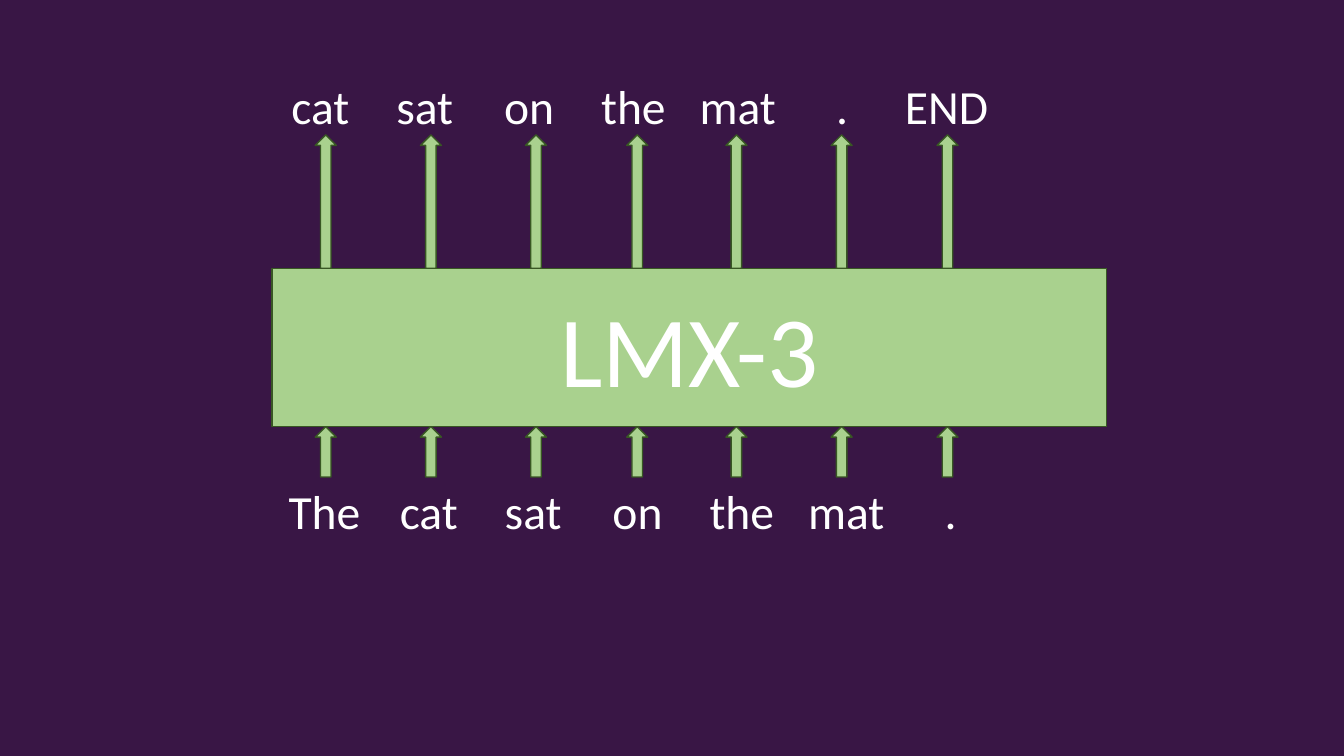
from dataclasses import dataclass

from pptx import Presentation
from pptx.dml.color import RGBColor
from pptx.enum.shapes import MSO_SHAPE
from pptx.enum.text import MSO_ANCHOR, PP_ALIGN
from pptx.oxml.ns import qn
from pptx.slide import Slide
from pptx.text.text import TextFrame
from pptx.util import Cm, Pt

RECTANGLE = MSO_SHAPE.RECTANGLE
UP_ARROW = MSO_SHAPE.UP_ARROW
CENTER = PP_ALIGN.CENTER
MIDDLE = MSO_ANCHOR.MIDDLE

PURPLE = RGBColor(0x39, 0x16, 0x45)
GREEN = RGBColor(0xA9, 0xD1, 0x8E)
DARK_GREEN = RGBColor(0x38, 0x57, 0x23)
WHITE = RGBColor(0xFF, 0xFF, 0xFF)

FONT = "Calibri"
PLAIN_TABLE_STYLE = "{2D5ABB26-0587-4C30-8999-92F81FD0307C}"
TOKEN_WIDTH = 2.63
TOKEN_HEIGHT = 1.7
ARROW_WIDTH = 0.53
ARROW_CENTERS = (8.21, 10.86, 13.51, 16.06, 18.56, 21.21, 23.88)
MODEL_LEFT, MODEL_TOP, MODEL_WIDTH, MODEL_HEIGHT = 6.86, 6.76, 21.03, 3.99


@dataclass(frozen=True)
class TokenRow:
    tokens: tuple[str, ...]
    left: float
    top: float
    column_widths: tuple[float, ...]


@dataclass(frozen=True)
class ArrowRow:
    top: float
    height: float


TOKEN_ROWS = (
    TokenRow(("The", "cat", "sat", "on", "the", "mat", ".", ""),
             MODEL_LEFT, 12.07, (TOKEN_WIDTH,) * 8),
    TokenRow(("", "cat", "sat", "on", "the", "mat", ".", "END"),
             6.15, 1.88, (0.58,) + (TOKEN_WIDTH,) * 7),
)
ARROW_ROWS = (
    ArrowRow(top=10.75, height=1.27),
    ArrowRow(top=3.4, height=3.36),
)


def write_text(frame: TextFrame, text: str, *, size: float,
               color: RGBColor = WHITE, alignment: PP_ALIGN = CENTER) -> None:
    paragraph = frame.paragraphs[0]
    paragraph.alignment = alignment
    run = paragraph.add_run()
    run.text = text
    run.font.name = FONT
    run.font.size = Pt(size)
    run.font.color.rgb = color


def add_green_shape(slide: Slide, kind: MSO_SHAPE, left: float, top: float,
                    width: float, height: float) -> TextFrame:
    """Draw an outlined green shape and return its text frame."""
    shape = slide.shapes.add_shape(kind, Cm(left), Cm(top), Cm(width), Cm(height))
    shape.shadow.inherit = False
    shape.fill.solid()
    shape.fill.fore_color.rgb = GREEN
    shape.line.color.rgb = DARK_GREEN
    shape.line.width = Pt(1)
    return shape.text_frame


def add_token_table(slide: Slide, row: TokenRow) -> None:
    table = slide.shapes.add_table(
        1, len(row.tokens), Cm(row.left), Cm(row.top),
        Cm(sum(row.column_widths)), Cm(TOKEN_HEIGHT)).table
    table.first_row = False
    table.horz_banding = False
    table._tbl.tblPr.find(qn("a:tableStyleId")).text = PLAIN_TABLE_STYLE
    for index, (token, width) in enumerate(zip(row.tokens, row.column_widths)):
        table.columns[index].width = Cm(width)
        cell = table.cell(0, index)
        cell.fill.background()
        if token:
            write_text(cell.text_frame, token, size=34)


def main() -> None:
    presentation = Presentation()
    presentation.slide_width = Cm(33.87)
    presentation.slide_height = Cm(19.05)
    slide = presentation.slides.add_slide(presentation.slide_layouts[6])
    slide.background.fill.solid()
    slide.background.fill.fore_color.rgb = PURPLE

    model_frame = add_green_shape(slide, RECTANGLE, MODEL_LEFT, MODEL_TOP,
                                  MODEL_WIDTH, MODEL_HEIGHT)
    model_frame.vertical_anchor = MIDDLE
    write_text(model_frame, "LMX-3", size=72)

    for token_row in TOKEN_ROWS:
        add_token_table(slide, token_row)
    for arrow_row in ARROW_ROWS:
        for center in ARROW_CENTERS:
            add_green_shape(slide, UP_ARROW, center - ARROW_WIDTH / 2,
                            arrow_row.top, ARROW_WIDTH, arrow_row.height)

    presentation.save("out.pptx")


if __name__ == "__main__":
    main()
